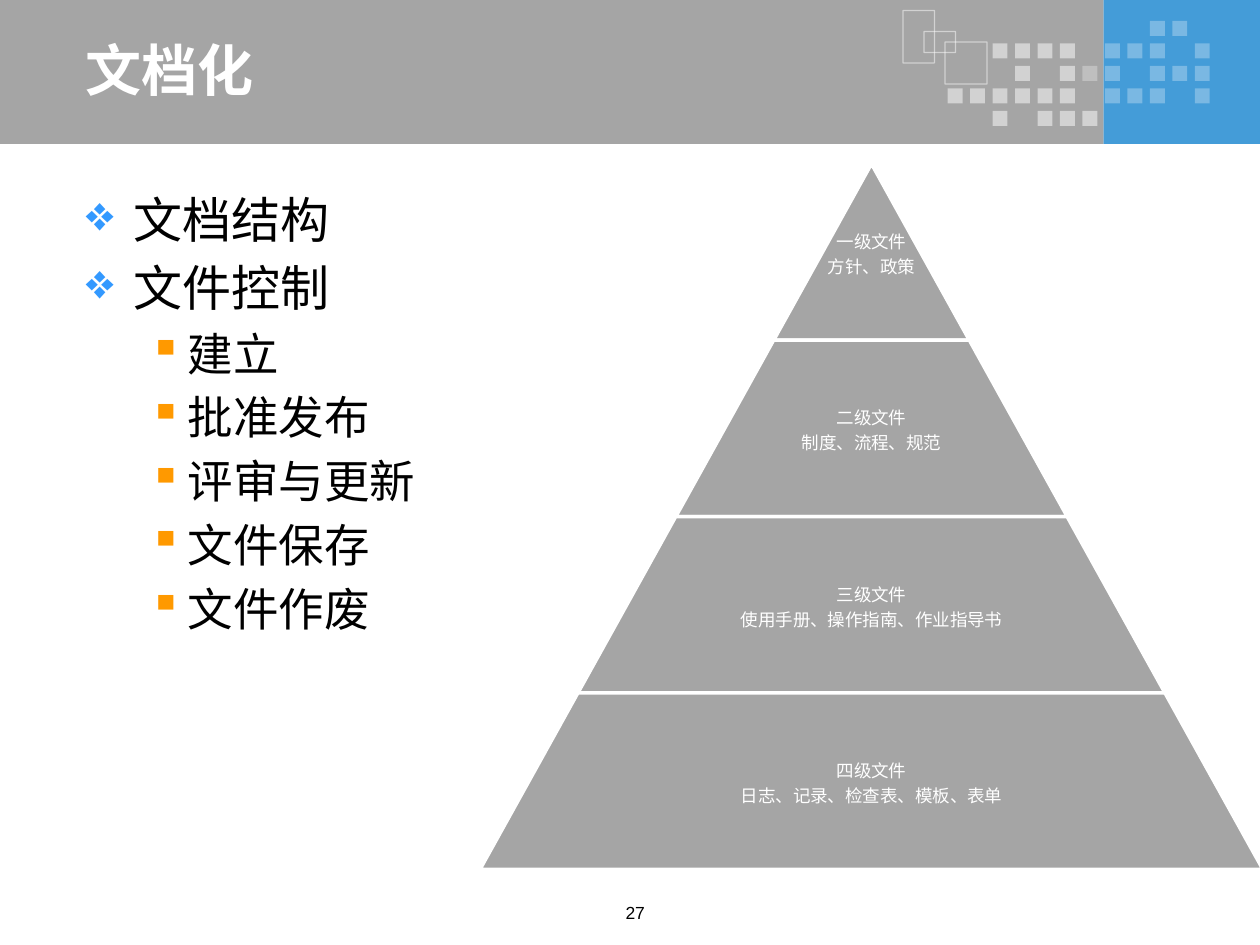
import pptx
import pptx.util
import pptx.dml.color
import pptx.enum.shapes
import pptx.enum.text
import pptx.oxml.ns
from lxml import etree

RGB = pptx.dml.color.RGBColor
WHITE = RGB(0xFF, 0xFF, 0xFF)
BLACK = RGB(0, 0, 0)
GREY = RGB(0xA5, 0xA5, 0xA5)
BLUE = RGB(0x44, 0x9C, 0xD8)
AZURE = RGB(0x33, 0x99, 0xFF)
AMBER = RGB(0xFF, 0x99, 0x00)

Pt = pptx.util.Pt
Inches = pptx.util.Inches
KIND = pptx.enum.shapes.MSO_SHAPE
ALIGN = pptx.enum.text.PP_ALIGN
ANCHOR = pptx.enum.text.MSO_ANCHOR
qn = pptx.oxml.ns.qn
SANS = "Noto Sans CJK SC"

# The slide is a grid of 120 columns by 90 rows.
UNIT = Inches(10) / 120

# "#" is a strong dot, "o" a faint one.
DOTS = [
    ".........oo.",
    "..####.ooo.o",
    "...#.#oo.ooo",
    "######.ooo.o",
    "..#.###.....",
]
ALPHA = {"#": 50, "o": 29}
FRAMES = [(86, 1, 3, 5), (88, 3, 3, 2), (90, 4, 4, 4)]
TOPICS = [
    (0, "文档结构"),
    (0, "文件控制"),
    (1, "建立"),
    (1, "批准发布"),
    (1, "评审与更新"),
    (1, "文件保存"),
    (1, "文件作废"),
]
LEVELS = [
    {"size": 28, "left": 0.38, "hang": 0.38, "mark": "❖", "color": AZURE},
    {"size": 26, "left": 0.81, "hang": 0.31, "mark": "▪", "color": AMBER},
]
TIERS = [
    ("一级文件", "方针、政策"),
    ("二级文件", "制度、流程、规范"),
    ("三级文件", "使用手册、操作指南、作业指导书"),
    ("四级文件", "日志、记录、检查表、模板、表单"),
]


def span(*cells):
    return [round(cell * UNIT) for cell in cells]


def apply(item, form):
    for name, value in form.items():
        setattr(item, name, value)


def fade(fill, alpha):
    """Make the solid colour of a fill partly transparent."""
    tint = fill.find(".//" + qn("a:srgbClr"))
    etree.SubElement(tint, qn("a:alpha"), val=str(alpha * 1000))


def add_form(slide, kind, box, fill=None, line=None, width=0.75, alpha=None):
    form = slide.shapes.add_shape(kind, *span(*box))
    form.shadow.inherit = False
    if fill is None:
        form.fill.background()
    else:
        form.fill.solid()
        form.fill.fore_color.rgb = fill
    if line is None:
        form.line.fill.background()
    else:
        form.line.color.rgb = line
        form.line.width = Pt(width)
    if alpha:
        props = form._element.spPr
        fade(props if line is None else props.find(qn("a:ln")), alpha)
    return form


def add_box(slide, box, **form):
    frame = slide.shapes.add_textbox(*span(*box)).text_frame
    apply(frame, {"word_wrap": True, **form})
    return frame


def add_line(frame, text, size, color, face=SANS, bold=False, **form):
    """Add a paragraph, using the empty first one if it is still free."""
    first = frame.paragraphs[0]
    para = frame.add_paragraph() if first.runs else first
    apply(para, form)
    run = para.add_run()
    run.text = text
    apply(run.font, {"size": Pt(size), "name": face, "bold": bold})
    run.font.color.rgb = color
    etree.SubElement(run.font._element, qn("a:ea"), typeface=face)
    return para


def add_mark(para, level):
    props = para._p.get_or_add_pPr()
    props.set("marL", str(Inches(level["left"])))
    props.set("indent", str(-Inches(level["hang"])))
    tint = etree.SubElement(props, qn("a:buClr"))
    etree.SubElement(tint, qn("a:srgbClr"), val=str(level["color"]))
    etree.SubElement(props, qn("a:buChar"), char=level["mark"])


def add_banner(slide):
    add_form(slide, KIND.RECTANGLE, (105.1, 0, 14.9, 13.7), BLUE)
    add_form(slide, KIND.RECTANGLE, (0, 0, 105.1, 13.7), GREY)
    for row, marks in enumerate(DOTS):
        for col, mark in enumerate(marks):
            if mark in ALPHA:
                box = (90.25 + 2.14 * col, 2 + 2.14 * row, 1.42, 1.42)
                add_form(slide, KIND.RECTANGLE, box, WHITE, alpha=ALPHA[mark])
    for box in FRAMES:
        add_form(slide, KIND.RECTANGLE, box, line=WHITE, alpha=50)
    frame = add_box(slide, (7, 3.4, 93, 6.4), vertical_anchor=ANCHOR.MIDDLE)
    add_line(frame, "文档化", 32, WHITE, bold=True)


def add_topics(slide):
    frame = add_box(slide, (7, 16.5, 107.5, 67))
    for depth, text in TOPICS:
        level = LEVELS[depth]
        size = level["size"]
        para = add_line(frame, text, size, BLACK, level=depth,
                        line_spacing=Pt(size * 1.4))
        add_mark(para, level)


def add_tiers(slide):
    mid, top, high, step = 83, 15.6, 16.8, 18.64
    for row, lines in enumerate(TIERS):
        y = top + row * high
        wide = step * (row + 1)
        form = add_form(slide, KIND.TRAPEZOID,
                        (mid - wide / 2, y, wide, high), GREY, WHITE, 2)
        form.adjustments[0] = step / 2 / high
        room = wide * 0.65 if row else wide
        pad = Inches(0.01)
        frame = add_box(slide, (mid - room / 2, y, room, high),
                        vertical_anchor=ANCHOR.MIDDLE,
                        margin_left=pad, margin_right=pad,
                        margin_top=pad, margin_bottom=pad)
        for text in lines:
            add_line(frame, text, 10, WHITE, alignment=ALIGN.CENTER,
                     line_spacing=Pt(14.3))


def main():
    deck = pptx.Presentation()
    deck.slide_width, deck.slide_height = span(120, 90)
    slide = deck.slides.add_slide(deck.slide_layouts[6])
    add_banner(slide)
    add_topics(slide)
    frame = add_box(slide, (55, 85.3, 11, 3.5))
    add_line(frame, "27", 10, BLACK, "Arial", alignment=ALIGN.CENTER)
    add_tiers(slide)
    deck.save("out.pptx")


if __name__ == "__main__":
    main()
